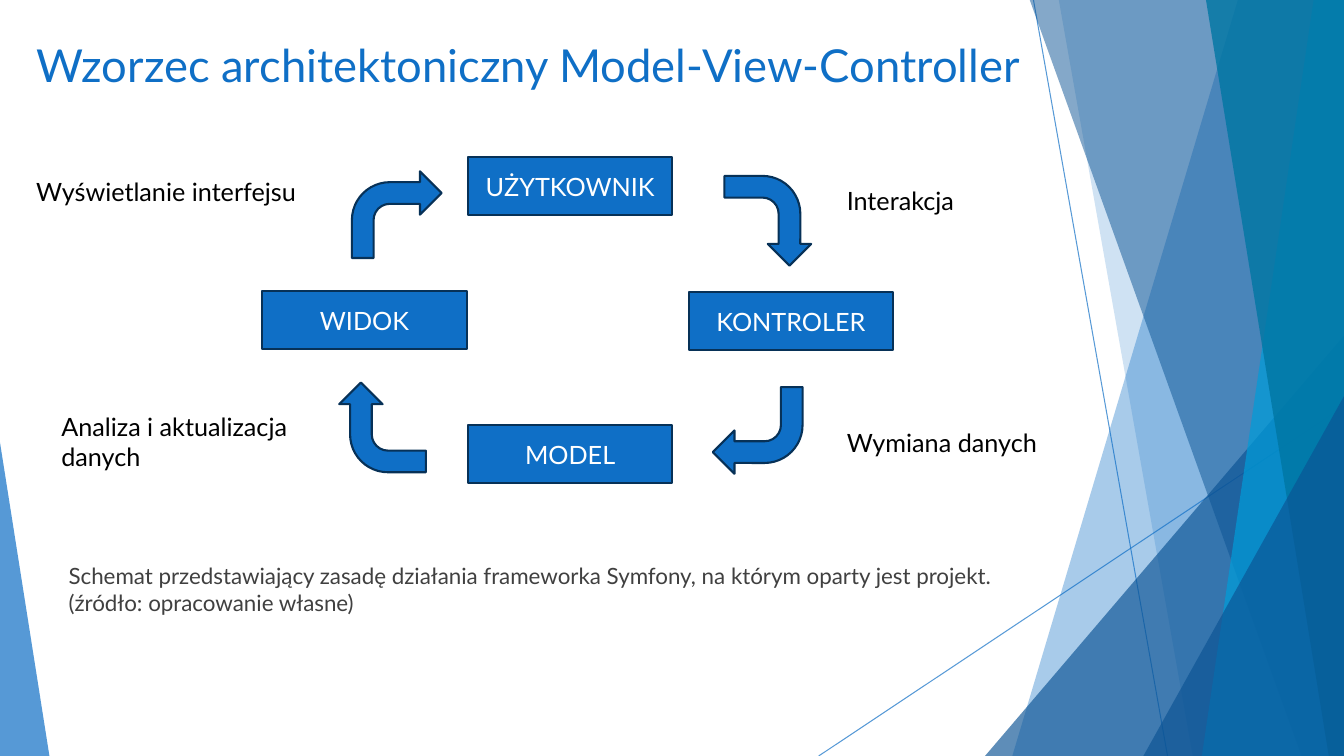
from lxml import etree
from pptx import Presentation
from pptx.dml.color import RGBColor
from pptx.enum import shapes, text
from pptx.oxml.ns import qn
from pptx.util import Inches, Pt

FONT = "Lato"
BLUE, NAVY, OUTLINE = "0F6FC6", "0B5394", "073157"
RIGHT, TOP, BOTTOM = 13.33, -0.01, 7.5

# Top-left x, bottom-left x, colour, opacity; all reach the right edge
RAYS_BACK = [(12.28, 10.04, BLUE, 36), (10.5, 11.83, BLUE, 20)]
RAYS_FRONT = [(10.21, 12.91, NAVY, 50), (13.03, 11.92, "009DD9", 70),
              (11.96, 13.18, "0076A3", 80)]
BOXES = [("UŻYTKOWNIK", 4.64, 1.56), ("KONTROLER", 6.83, 2.9),
         ("MODEL", 4.64, 4.22), ("WIDOK", 2.6, 2.89)]
ARROWS = [(3.49, 1.7, 0), (7.17, 1.76, 90), (7.07, 3.84, 180), (3.35, 3.81, 270)]
LABELS = [("Wyświetlanie interfejsu", 0.26, 1.7, 3.11, 0.4),
          ("Interakcja", 8.3, 1.79, 1.62, 0.4),
          ("Wymiana danych", 8.3, 4.19, 2.28, 0.4),
          ("Analiza i aktualizacja danych", 0.51, 4.03, 3.11, 0.71)]


def rgb(value):
    return RGBColor.from_string(value)


def set_opacity(sp, percent):
    for clr in sp._element.iter(qn("a:srgbClr")):
        etree.SubElement(clr, qn("a:alpha")).set("val", str(percent * 1000))


def paint(sp, fill, line=None):
    sp.shadow.inherit = False
    sp.fill.solid()
    sp.fill.fore_color.rgb = rgb(fill)
    if line:
        sp.line.color.rgb = rgb(line)
        sp.line.width = Pt(1.5)
    else:
        sp.line.fill.background()


def write(sp, words, size, color, align=text.PP_ALIGN.LEFT,
          anchor=text.MSO_ANCHOR.TOP):
    tf = sp.text_frame
    tf.word_wrap = True
    tf.auto_size = text.MSO_AUTO_SIZE.NONE
    tf.vertical_anchor = anchor
    p = tf.paragraphs[0]
    p.alignment = align
    p.space_before = Pt(0)
    r = p.add_run()
    r.text = words
    r.font.name = FONT
    r.font.size = Pt(size)
    r.font.color.rgb = rgb(color)
    return p


def add_preset(slide, kind, left, top, width, height):
    return slide.shapes.add_shape(kind, Inches(left), Inches(top),
                                  Inches(width), Inches(height))


def add_thin_line(slide, x1, y1, x2, y2):
    line = slide.shapes.add_connector(shapes.MSO_CONNECTOR.STRAIGHT, Inches(x1),
                                      Inches(y1), Inches(x2), Inches(y2))
    line.line.color.rgb = rgb(BLUE)
    line.line.width = Pt(0.75)
    set_opacity(line, 70)
    etree.SubElement(line._element.spPr, qn("a:effectLst"))


def add_ray(slide, top_x, bottom_x, color, opacity):
    corners = [(Inches(x), Inches(y)) for x, y in
               [(top_x, TOP), (RIGHT, TOP), (RIGHT, BOTTOM), (bottom_x, BOTTOM)]]
    builder = slide.shapes.build_freeform(*corners[0])
    builder.add_line_segments(corners[1:], close=True)
    sp = builder.convert_to_shape()
    paint(sp, color)
    set_opacity(sp, opacity)


def add_corner(slide, left, top, width, peak, color, opacity):
    """Triangle standing on the bottom edge, its peak at 0 (left) or 1 (right)."""
    sp = add_preset(slide, shapes.MSO_SHAPE.ISOSCELES_TRIANGLE,
                    left, top, width, BOTTOM - top)
    sp.adjustments[0] = peak
    paint(sp, color)
    set_opacity(sp, opacity)


def add_decoration(slide):
    add_thin_line(slide, 10.25, 0, 11.58, BOTTOM)
    add_thin_line(slide, RIGHT, 4.03, 8.12, BOTTOM)
    for ray in RAYS_BACK:
        add_ray(slide, *ray)
    add_corner(slide, 9.77, 3.33, 3.56, 1, NAVY, 66)
    for ray in RAYS_FRONT:
        add_ray(slide, *ray)
    add_corner(slide, 11.34, 3.93, 1.99, 1, NAVY, 66)
    add_corner(slide, 0, 4.39, 0.49, 0, BLUE, 70)


def add_box(slide, words, left, top):
    sp = add_preset(slide, shapes.MSO_SHAPE.RECTANGLE, left, top, 2.03, 0.57)
    paint(sp, BLUE, OUTLINE)
    write(sp, words, 18, "FFFFFF", text.PP_ALIGN.CENTER, text.MSO_ANCHOR.MIDDLE)


def add_bent_arrow(slide, left, top, rotation):
    sp = add_preset(slide, shapes.MSO_SHAPE.BENT_ARROW, left, top, 0.89, 0.86)
    sp.rotation = rotation
    paint(sp, BLUE, OUTLINE)


def add_label(slide, words, left, top, width, height):
    sp = slide.shapes.add_textbox(Inches(left), Inches(top),
                                  Inches(width), Inches(height))
    write(sp, words, 18, "000000")


def fill_placeholder(slide, sp, words, size, color, left, top, width, height):
    """Place the text and raise it above the decoration."""
    sp.left, sp.top = Inches(left), Inches(top)
    sp.width, sp.height = Inches(width), Inches(height)
    slide.shapes._spTree.append(sp._element)
    return write(sp, words, size, color)


def remove_bullet(p):
    pPr = p._p.get_or_add_pPr()
    pPr.set("marL", "0")
    pPr.set("indent", "0")
    etree.SubElement(pPr, qn("a:buNone"))


def main():
    prs = Presentation()
    prs.slide_width, prs.slide_height = Inches(RIGHT), Inches(BOTTOM)
    slide = prs.slides.add_slide(prs.slide_layouts[1])
    title, body = slide.placeholders

    add_decoration(slide)
    fill_placeholder(slide, title, "Wzorzec architektoniczny Model-View-Controller",
                     32.4, BLUE, 0.26, 0.32, 10.32, 0.87)
    for box in BOXES:
        add_box(slide, *box)
    for arrow in ARROWS:
        add_bent_arrow(slide, *arrow)
    for label in LABELS:
        add_label(slide, *label)
    caption = fill_placeholder(
        slide, body,
        "Schemat przedstawiający zasadę działania frameworka Symfony, "
        "na którym oparty jest projekt. (źródło: opracowanie własne)",
        16, "404040", 0.58, 5.53, 10.05, 1.2)
    remove_bullet(caption)
    prs.save("out.pptx")


if __name__ == "__main__":
    main()
